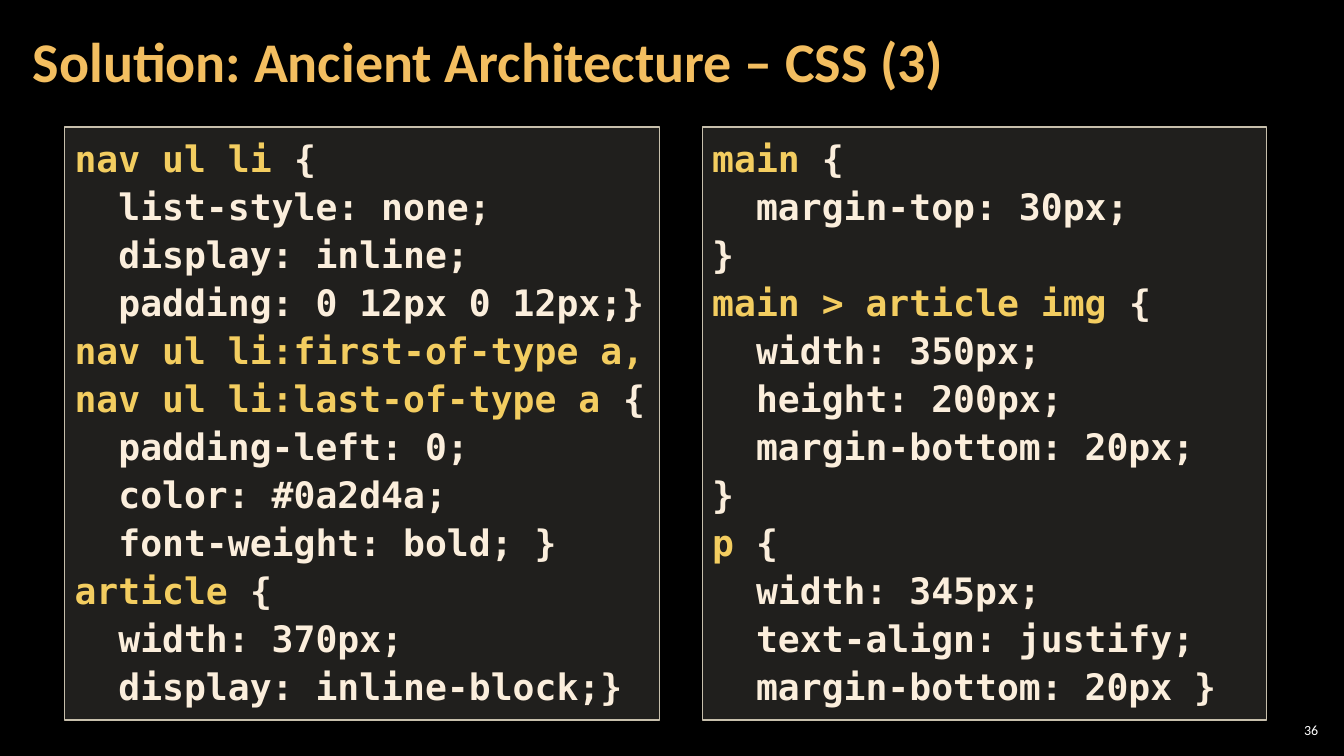
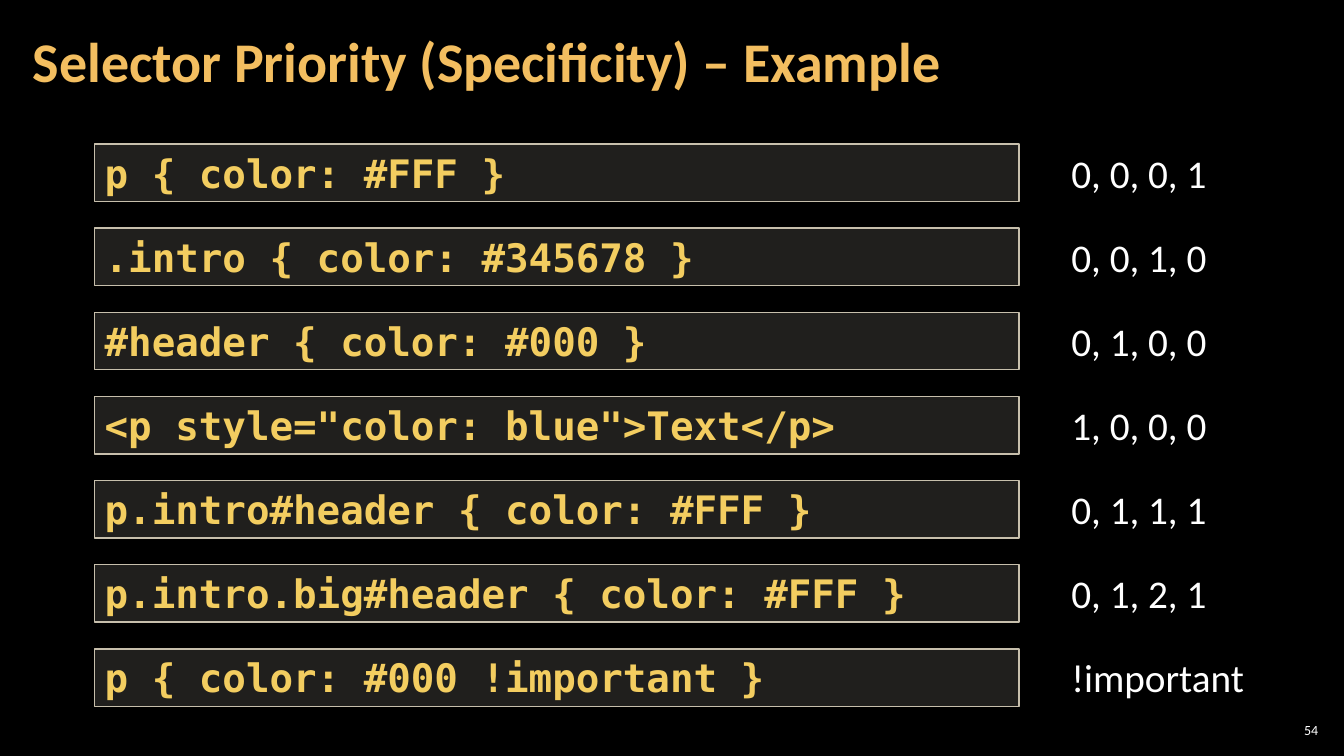
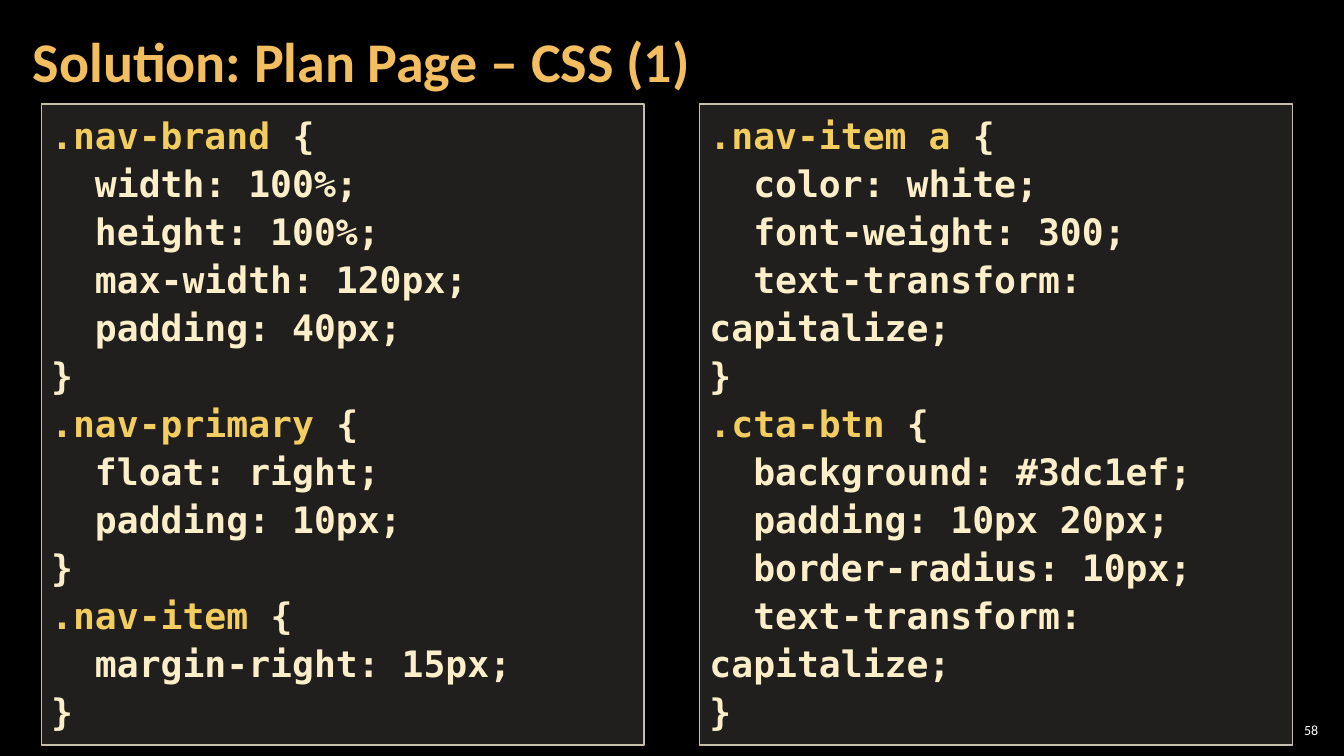
import pptx
import pptx.util
import pptx.dml.color
import pptx.enum.shapes
import pptx.enum.text
import pptx.oxml
import pptx.oxml.ns

Cm = pptx.util.Cm
Pt = pptx.util.Pt
ANCHOR = pptx.enum.text.MSO_ANCHOR
ALIGN = pptx.enum.text.PP_ALIGN
GROW = pptx.enum.text.MSO_AUTO_SIZE.SHAPE_TO_FIT_TEXT

COLORS = {
    "background": "000000",
    "title": "F3BE60",
    "panel": "D9D5C7",
    "border": "C7BFAC",
    "selector": "F3CD60",
    "rule": "FBEEDC",
    "rule_warm": "FBEEC9",
    "plain": "FFFFFF",
}
PANEL_OPACITY = 15

FONTS = {
    "title": {"name": "Calibri", "size": Pt(40), "bold": True},
    "number": {"name": "Calibri", "size": Pt(10), "bold": False},
    "value": {"name": "Calibri", "size": Pt(28), "bold": False},
    "code": {"name": "DejaVu Sans Mono", "size": Pt(26), "bold": True},
    "sample": {"name": "DejaVu Sans Mono", "size": Pt(28), "bold": True},
}

FRAMES = {
    "title": {"word_wrap": True, "vertical_anchor": ANCHOR.MIDDLE,
              "margin_left": Cm(0.3), "margin_right": Cm(0.3),
              "margin_top": Cm(0.1), "margin_bottom": Cm(0.1)},
    "number": {"word_wrap": True, "vertical_anchor": ANCHOR.MIDDLE,
               "margin_left": Cm(0.1), "margin_right": Cm(0.1),
               "margin_top": Cm(0.1), "margin_bottom": Cm(0.1)},
    "value": {"word_wrap": False, "vertical_anchor": ANCHOR.TOP, "auto_size": GROW},
    "panel": {"word_wrap": True, "vertical_anchor": ANCHOR.TOP, "auto_size": GROW},
}

TITLE_BOX = (0.53, 0.1, 26.59, 3.07)
NUMBER_BOX = (32.13, 18.14, 1.19, 0.53)

ARCHITECTURE_LEFT = """nav ul li {
  list-style: none;
  display: inline;
  padding: 0 12px 0 12px;}
nav ul li:first-of-type a,
nav ul li:last-of-type a {
  padding-left: 0;
  color: #0a2d4a;
  font-weight: bold; }
article {
  width: 370px;
  display: inline-block;}"""

ARCHITECTURE_RIGHT = """main {
  margin-top: 30px;
}
main > article img {
  width: 350px;
  height: 200px;
  margin-bottom: 20px;
}
p {
  width: 345px;
  text-align: justify;
  margin-bottom: 20px }"""

PLAN_LEFT = """.nav-brand {
  width: 100%;
  height: 100%;
  max-width: 120px;
  padding: 40px;
}
.nav-primary {
  float: right;
  padding: 10px;
}
.nav-item {
  margin-right: 15px;
}"""

PLAN_RIGHT = """.nav-item a {
  color: white;
  font-weight: 300;
  text-transform: capitalize;
}
.cta-btn {
  background: #3dc1ef;
  padding: 10px 20px;
  border-radius: 10px;
  text-transform: capitalize;
}"""

PRIORITIES = [
    ("p { color: #FFF }", "0, 0, 0, 1"),
    (".intro { color: #345678 }", "0, 0, 1, 0"),
    ("#header { color: #000 }", "0, 1, 0, 0"),
    ('<p style="color: blue">Text</p>', "1, 0, 0, 0"),
    ("p.intro#header { color: #FFF }", "0, 1, 1, 1"),
    ("p.intro.big#header { color: #FFF }", "0, 1, 2, 1"),
    ("p { color: #000 !important }", "!important"),
]


def rgb(color):
    return pptx.dml.color.RGBColor.from_string(COLORS[color])


def apply(obj, values):
    for name, value in values.items():
        setattr(obj, name, value)


def add_run(p, text, font, color):
    r = p.add_run()
    r.text = text
    apply(r.font, FONTS[font])
    r.font.color.rgb = rgb(color)


def add_text(s, box, text, kind, color, **paragraph):
    sp = s.shapes.add_textbox(*map(Cm, box))
    apply(sp.text_frame, FRAMES[kind])
    p = sp.text_frame.paragraphs[0]
    apply(p, paragraph)
    add_run(p, text, kind, color)


def add_panel(s, box):
    sp = s.shapes.add_shape(pptx.enum.shapes.MSO_SHAPE.RECTANGLE, *map(Cm, box))
    sp.shadow.inherit = False
    sp.fill.solid()
    sp.fill.fore_color.rgb = rgb("panel")
    clr = sp.fill._xPr.find(".//" + pptx.oxml.ns.qn("a:srgbClr"))
    alpha = pptx.oxml.parse_xml(f'<a:alpha {pptx.oxml.ns.nsdecls("a")} val="{PANEL_OPACITY * 1000}"/>')
    clr.append(alpha)
    sp.line.color.rgb = rgb("border")
    sp.line.width = Pt(1)
    apply(sp.text_frame, FRAMES["panel"])
    return sp.text_frame


def split_rule(line, rule_color):
    if line[0] in " }":
        return [(line, rule_color)]
    selector, brace, rest = line.partition("{")
    return [(text, color) for text, color in
            ((selector, "selector"), (brace + rest, rule_color)) if text]


def add_code(s, box, code, rule_color):
    tf = add_panel(s, box)
    for i, line in enumerate(code.splitlines()):
        p = tf.add_paragraph() if i else tf.paragraphs[0]
        apply(p, {"alignment": ALIGN.LEFT, "line_spacing": 1.1})
        for text, color in split_rule(line, rule_color):
            add_run(p, text, "code", color)


def add_priority(s, box, sample, value):
    left, top, width, height = box
    p = add_panel(s, box).paragraphs[0]
    p.alignment = ALIGN.LEFT
    add_run(p, sample, "sample", "selector")
    value_width = 4.9 if value.startswith("!") else 3.96
    add_text(s, (left + width + 1.07, top, value_width, height), value, "value", "plain")


def add_slide(prs, title, number):
    s = prs.slides.add_slide(prs.slide_layouts[6])
    add_text(s, NUMBER_BOX, str(number), "number", "plain", alignment=ALIGN.RIGHT)
    add_text(s, TITLE_BOX, title, "title", "title", line_spacing=0.9)
    return s


def code_slide(prs, title, number, panels, rule_color):
    s = add_slide(prs, title, number)
    for box, code in panels:
        add_code(s, box, code, rule_color)


def priority_slide(prs, title, number, first_box, pitch):
    s = add_slide(prs, title, number)
    left, top, width, height = first_box
    for i, (sample, value) in enumerate(PRIORITIES):
        add_priority(s, (left, top + i * pitch, width, height), sample, value)


def main():
    prs = pptx.Presentation()
    prs.slide_width, prs.slide_height = Cm(33.87), Cm(19.05)
    fill = prs.slide_master.background.fill
    fill.solid()
    fill.fore_color.rgb = rgb("background")

    code_slide(prs, "Solution: Ancient Architecture – CSS (3)", 36, [
        ((1.63, 3.2, 14.99, 14.94), ARCHITECTURE_LEFT),
        ((17.7, 3.2, 14.22, 14.94), ARCHITECTURE_RIGHT),
    ], "rule")
    priority_slide(prs, "Selector Priority (Specificity) – Example", 54,
                   (2.39, 3.63, 23.29, 1.45), 2.12)
    code_slide(prs, "Solution: Plan Page – CSS (1)", 58, [
        ((1.04, 2.62, 15.19, 16.15), PLAN_LEFT),
        ((17.63, 2.62, 14.94, 16.15), PLAN_RIGHT),
    ], "rule_warm")
    prs.save("out.pptx")


if __name__ == "__main__":
    main()
